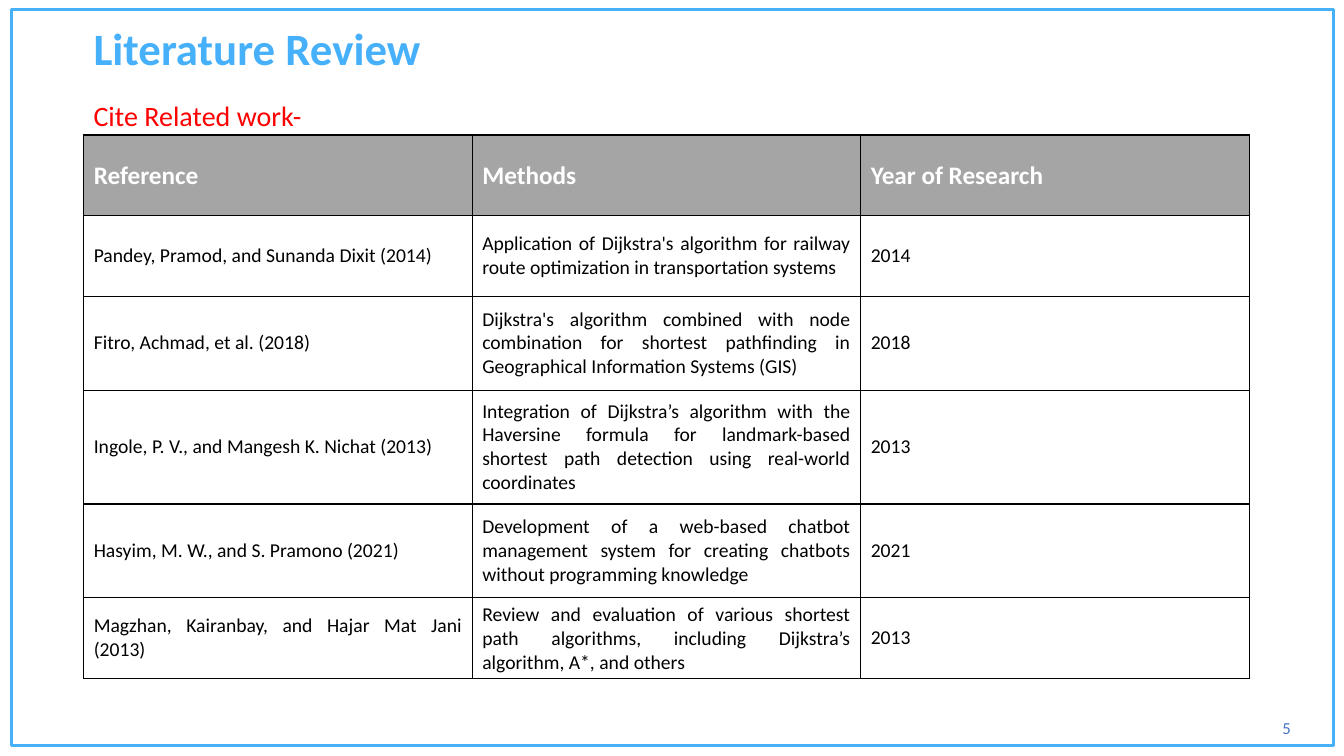
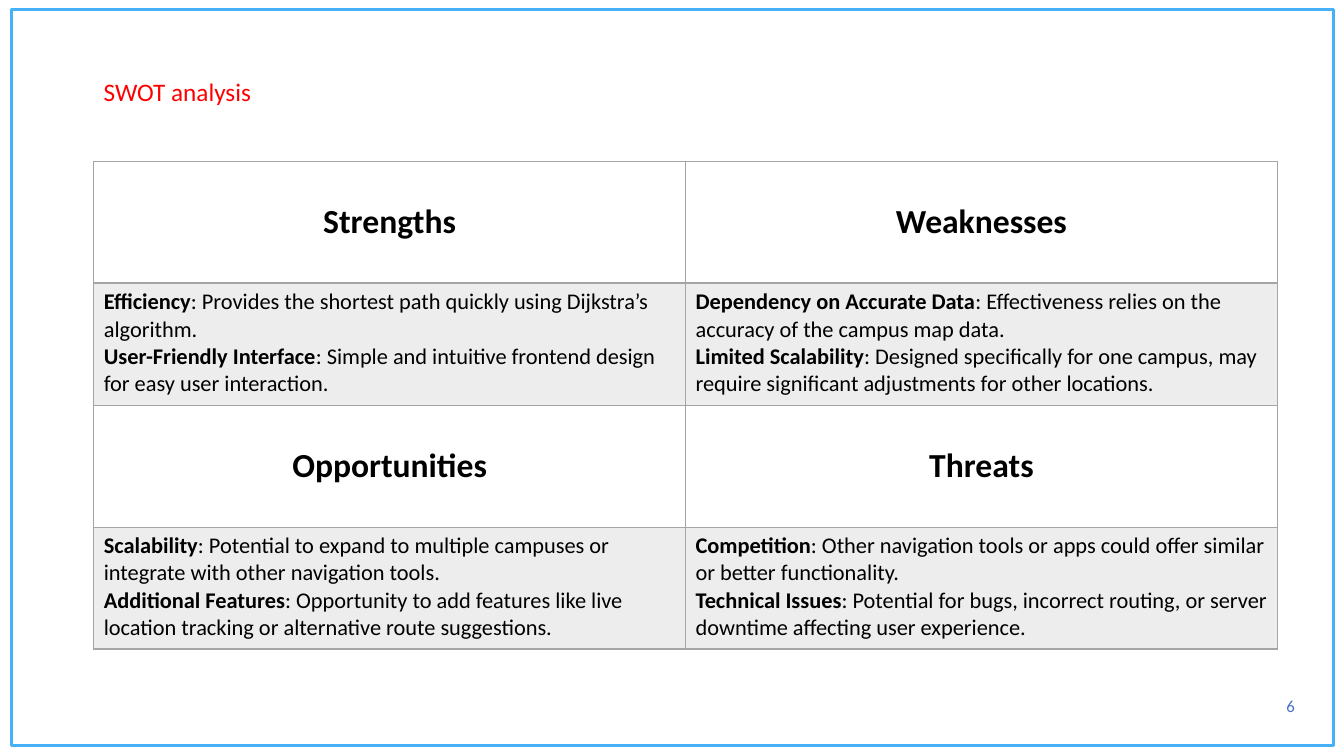
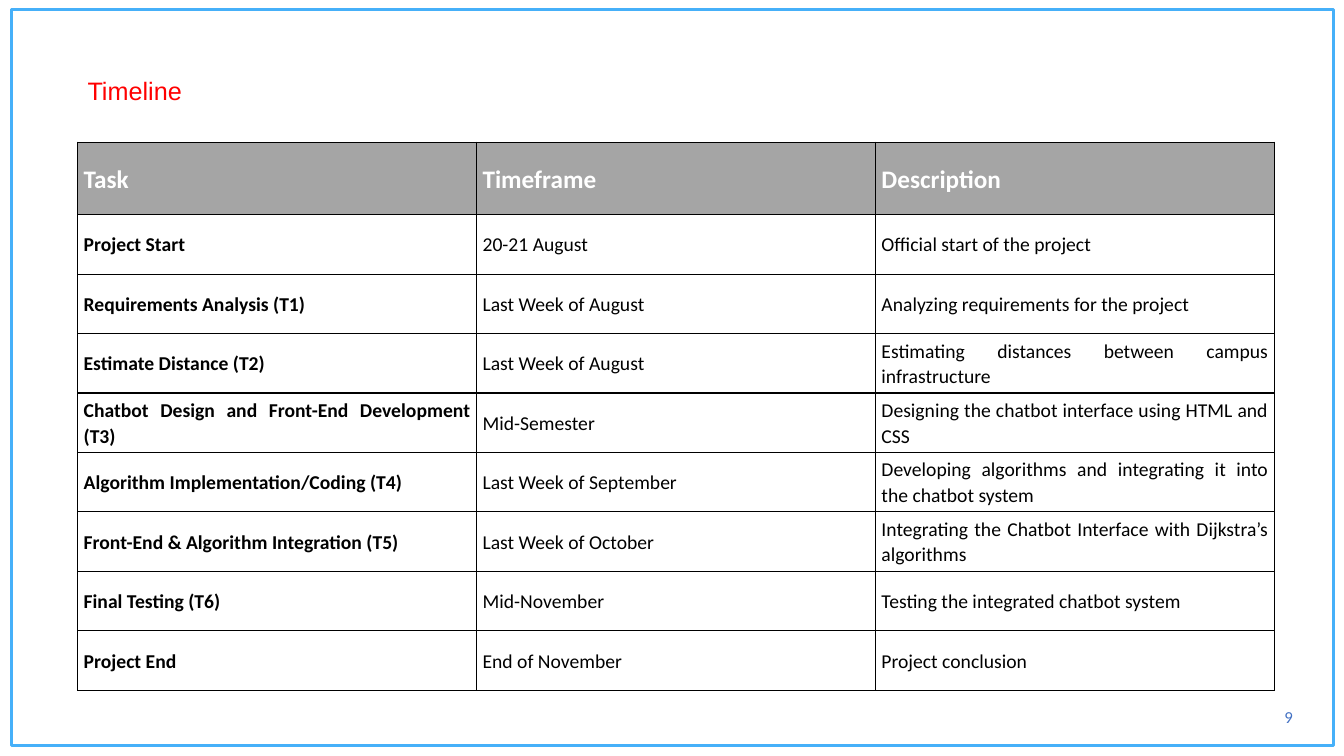
from dataclasses import dataclass
from typing import NamedTuple

from lxml import etree
from pptx import Presentation
from pptx import util as u
from pptx.dml.color import RGBColor
from pptx.enum import shapes, text
from pptx.oxml import ns

WIDTH, HEIGHT = 13.33, 7.5
FONT = "Calibri"
COLORS = {
    "frame": "46B0F9",
    "title": "46B0FA",
    "subtitle": "FF0000",
    "number": "4472C4",
    "ink": "000000",
    "paper": "FFFFFF",
    "gray": "A5A5A5",
    "pale": "EDEDED",
}
ALIGN = text.PP_ALIGN
MIDDLE, TOP = text.MSO_ANCHOR.MIDDLE, text.MSO_ANCHOR.TOP


class Span(NamedTuple):
    words: str
    bold: bool = False


@dataclass(frozen=True)
class Label:
    words: str
    left: float
    top: float
    width: float
    height: float
    size: int
    color: str
    bold: bool = False
    font: str = FONT


@dataclass(frozen=True)
class CellStyle:
    size: int
    color: str = "ink"
    bold: bool = False
    align: ALIGN = ALIGN.JUSTIFY
    anchor: text.MSO_ANCHOR = MIDDLE
    fill: str | None = None


@dataclass(frozen=True)
class Grid:
    left: float
    top: float
    width: float
    heights: list
    rows: list
    styles: list  # one row of cell styles for each table row
    border: str = "ink"
    first_rule: float = 1  # points, below the first row
    margins: tuple = (0.1, 0.05)
    line_spacing: float = 1.0
    space_after: float = 0


def point(label: str, detail: str) -> list:
    return [Span(label, True), Span(": " + detail)]


def write(frame, content, *, size, color, bold=False, font=FONT,
          align=ALIGN.LEFT, line_spacing=1.0, space_after=0) -> None:
    """Write a string, or a list of paragraphs made of spans."""
    paragraphs = [[Span(content, bold)]] if isinstance(content, str) else content
    for index, spans in enumerate(paragraphs):
        para = frame.add_paragraph() if index else frame.paragraphs[0]
        para.alignment = align
        para.line_spacing = line_spacing
        para.space_after = u.Pt(space_after)
        for span in spans:
            run = para.add_run()
            run.text = span.words
            run.font.name, run.font.size, run.font.bold = font, u.Pt(size), span.bold
            run.font.color.rgb = RGBColor.from_string(COLORS[color])


def add_label(page, label: Label) -> None:
    box = page.shapes.add_textbox(*map(u.Inches, (label.left, label.top, label.width, label.height)))
    box.text_frame.word_wrap = True
    box.text_frame.auto_size = text.MSO_AUTO_SIZE.SHAPE_TO_FIT_TEXT
    write(box.text_frame, label.words, size=label.size, color=label.color,
          bold=label.bold, font=label.font)


def add_borders(cell, color: str, bottom: float) -> None:
    properties = cell._tc.get_or_add_tcPr()
    # The schema puts the lines before the fill
    for index, (side, points) in enumerate(
            [("lnL", 1), ("lnR", 1), ("lnT", 1), ("lnB", bottom)]):
        line = etree.Element(ns.qn(f"a:{side}"), w=str(u.Pt(points)))
        solid = etree.SubElement(line, ns.qn("a:solidFill"))
        etree.SubElement(solid, ns.qn("a:srgbClr"), val=COLORS[color])
        properties.insert(index, line)


def add_grid(page, grid: Grid) -> None:
    columns = len(grid.rows[0])
    table = page.shapes.add_table(
        len(grid.rows), columns, u.Inches(grid.left), u.Inches(grid.top),
        u.Inches(grid.width), u.Inches(sum(grid.heights))).table
    table.first_row = table.horz_banding = False
    for column in table.columns:
        column.width = u.Inches(grid.width / columns)
    side, edge = map(u.Inches, grid.margins)
    for r, (contents, style) in enumerate(zip(grid.rows, grid.styles)):
        table.rows[r].height = u.Inches(grid.heights[r])
        for c, content in enumerate(contents):
            cell, look = table.cell(r, c), style[c]
            cell.margin_left = cell.margin_right = side
            cell.margin_top = cell.margin_bottom = edge
            cell.vertical_anchor = look.anchor
            if look.fill:
                cell.fill.solid()
                cell.fill.fore_color.rgb = RGBColor.from_string(COLORS[look.fill])
            else:
                cell.fill.background()
            add_borders(cell, grid.border, 1 if r else grid.first_rule)
            write(cell.text_frame, content, size=look.size, color=look.color,
                  bold=look.bold, align=look.align,
                  line_spacing=grid.line_spacing, space_after=grid.space_after)


def add_page(deck, labels: list, grid: Grid) -> None:
    page = deck.slides.add_slide(deck.slide_layouts[6])
    # Border around the page
    frame = page.shapes.add_shape(
        shapes.MSO_SHAPE.RECTANGLE, *map(u.Inches, (0.11, 0.09, 13.12, 7.31)))
    frame.shadow.inherit = False
    frame.fill.background()
    frame.line.color.rgb = RGBColor.from_string(COLORS["frame"])
    frame.line.width = u.Pt(2.25)
    for label in labels:
        add_label(page, label)
    add_grid(page, grid)


def subtitle(words: str, left: float, top: float, size: int = 18, font: str = FONT) -> Label:
    return Label(words, left, top, 10.74, 0.4, size, "subtitle", font=font)


def page_number(number: int, left: float, top: float) -> Label:
    return Label(str(number), left, top, 0.5, 0.3, 12, "number")


# Cell looks
HEADER = CellStyle(18, "paper", True, fill="gray")
BODY = CellStyle(14)
BODY_BOLD = CellStyle(14, bold=True)
SWOT_HEAD = CellStyle(24, bold=True, align=ALIGN.CENTER)
SWOT_BODY = CellStyle(16, align=ALIGN.LEFT, anchor=TOP, fill="pale")

# Table contents
LITERATURE = [
    ("Reference", "Methods", "Year of Research"),
    ("Pandey, Pramod, and Sunanda Dixit (2014)",
     "Application of Dijkstra's algorithm for railway route optimization in transportation systems",
     "2014"),
    ("Fitro, Achmad, et al. (2018)",
     "Dijkstra's algorithm combined with node combination for shortest pathfinding in "
     "Geographical Information Systems (GIS)", "2018"),
    ("Ingole, P. V., and Mangesh K. Nichat (2013)",
     "Integration of Dijkstra’s algorithm with the Haversine formula for landmark-based "
     "shortest path detection using real-world coordinates", "2013"),
    ("Hasyim, M. W., and S. Pramono (2021)",
     "Development of a web-based chatbot management system for creating chatbots "
     "without programming knowledge", "2021"),
    ("Magzhan, Kairanbay, and Hajar Mat Jani (2013)",
     "Review and evaluation of various shortest path algorithms, including Dijkstra’s "
     "algorithm, A*, and others", "2013"),
]

SWOT = [
    ("Strengths", "Weaknesses"),
    ([point("Efficiency", "Provides the shortest path quickly using Dijkstra’s algorithm."),
      point("User-Friendly Interface",
            "Simple and intuitive frontend design for easy user interaction.")],
     [point("Dependency on Accurate Data",
            "Effectiveness relies on the accuracy of the campus map data."),
      point("Limited Scalability", "Designed specifically for one campus, may require "
            "significant adjustments for other locations.")]),
    ("Opportunities", "Threats"),
    ([point("Scalability", "Potential to expand to multiple campuses or integrate with "
            "other navigation tools."),
      point("Additional Features", "Opportunity to add features like live location "
            "tracking or alternative route suggestions.")],
     [point("Competition", "Other navigation tools or apps could offer similar or "
            "better functionality."),
      point("Technical Issues", "Potential for bugs, incorrect routing, or server "
            "downtime affecting user experience.")]),
]

TIMELINE = [
    ("Task", "Timeframe", "Description"),
    ("Project Start", "20-21 August", "Official start of the project"),
    ("Requirements Analysis (T1)", "Last Week of August",
     "Analyzing requirements for the project"),
    ("Estimate Distance (T2)", "Last Week of August",
     "Estimating distances between campus infrastructure"),
    ("Chatbot Design and Front-End Development (T3)", "Mid-Semester",
     "Designing the chatbot interface using HTML and CSS"),
    ("Algorithm Implementation/Coding (T4)", "Last Week of September",
     "Developing algorithms and integrating it into the chatbot system"),
    ("Front-End & Algorithm Integration (T5)", "Last Week of October",
     "Integrating the Chatbot Interface with Dijkstra’s algorithms"),
    ("Final Testing (T6)", "Mid-November", "Testing the integrated chatbot system"),
    ("Project End", "End of November", "Project conclusion"),
]


def main() -> None:
    deck = Presentation()
    deck.slide_width, deck.slide_height = u.Inches(WIDTH), u.Inches(HEIGHT)

    # Literature review
    add_page(
        deck,
        [Label("Literature Review", 0.83, 0.16, 8.24, 0.64, 32, "title", bold=True),
         subtitle("Cite Related work-", 0.83, 0.93, size=20),
         page_number(5, 12.62, 7.07)],
        Grid(0.83, 1.34, 11.56, [0.8, 0.8, 0.93, 1.13, 0.93, 0.8], LITERATURE,
             [[HEADER] * 3] + [[BODY] * 3] * 5))

    # SWOT analysis
    add_page(
        deck,
        [subtitle("SWOT analysis", 0.93, 0.71), page_number(6, 12.66, 6.85)],
        Grid(0.93, 1.6, 11.74, [1.21] * 4, SWOT, [[SWOT_HEAD] * 2, [SWOT_BODY] * 2] * 2,
             border="gray", first_rule=2))

    # Timeline
    add_page(
        deck,
        [subtitle("Timeline", 0.77, 0.7, font="Arial"), page_number(9, 12.64, 6.96)],
        Grid(0.77, 1.41, 11.87, [0.72] + [0.59] * 8, TIMELINE,
             [[HEADER] * 3] + [[BODY_BOLD, BODY, BODY]] * 8,
             margins=(0.06, 0), line_spacing=1.07, space_after=8))

    deck.save("out.pptx")


if __name__ == "__main__":
    main()
